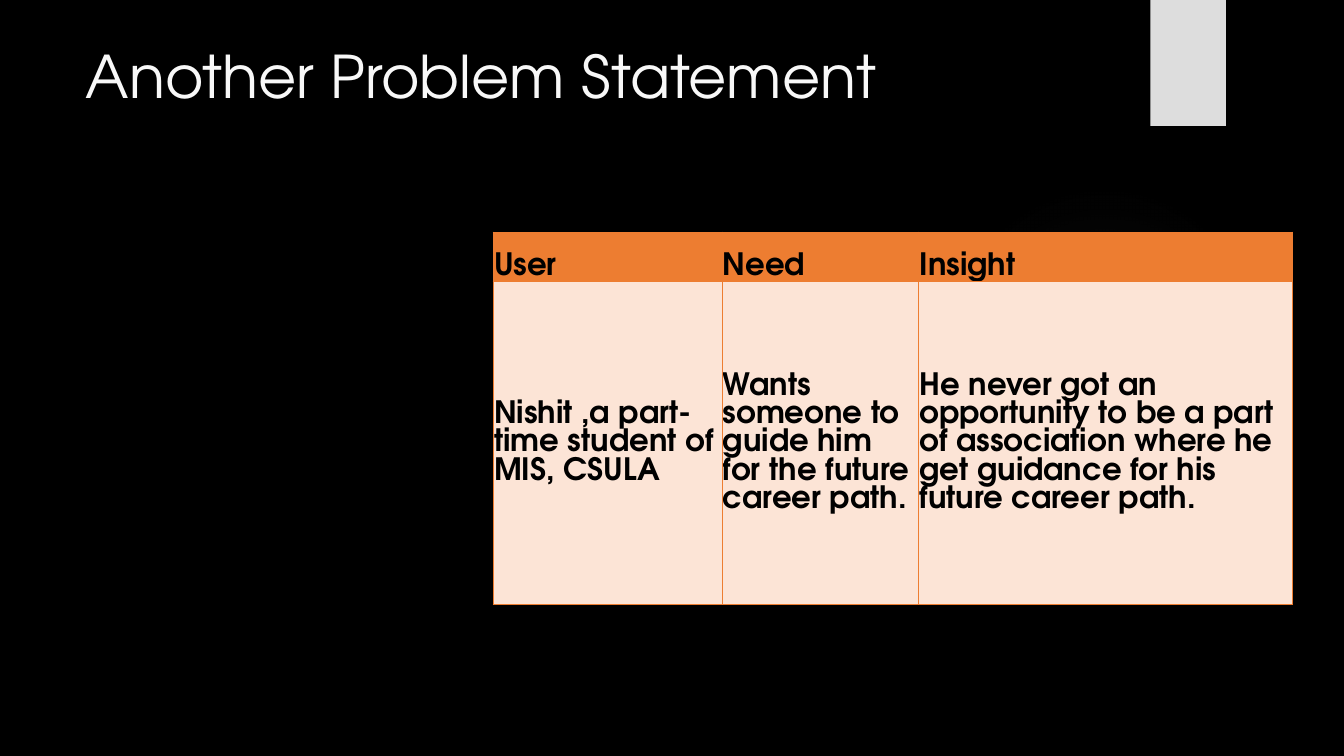
from lxml.etree import SubElement
from pptx import Presentation
from pptx.dml.color import RGBColor
from pptx.enum.shapes import MSO_SHAPE
from pptx.enum.text import MSO_ANCHOR, PP_ALIGN
from pptx.oxml import parse_xml
from pptx.oxml.ns import qn
from pptx.util import Inches, Pt

FONT = "TeX Gyre Adventor"
NS = 'xmlns:a="http://schemas.openxmlformats.org/drawingml/2006/main"'
COLUMNS = (2.27, 1.95, 3.71)
ROWS = (0.49, 3.21)
CELLS = (
    ("User", "Need", "Insight"),
    ("Nishit ,a part-time student of MIS, CSULA",
     "Wants someone to guide him for the future career path.",
     "He never got an opportunity to be a part of association where he "
     "get guidance for his future career path."),
)
ROW_STYLES = (("ED7D31", MSO_ANCHOR.BOTTOM), ("FCE4D6", MSO_ANCHOR.MIDDLE))


def paint(fill, color):
    fill.solid()
    fill.fore_color.rgb = RGBColor.from_string(color)


def write(tf, text, size, color, bold=False, spacing=1.0):
    tf.word_wrap = True
    p = tf.paragraphs[0]
    p.alignment = PP_ALIGN.LEFT
    p.line_spacing = spacing
    r = p.add_run()
    r.text = text
    r.font.name = FONT
    r.font.size = Pt(size)
    r.font.bold = bold
    r.font.color.rgb = RGBColor.from_string(color)


def add_preset(s, kind, left, top, width, height, color):
    sp = s.shapes.add_shape(kind, *map(Inches, (left, top, width, height)))
    sp.shadow.inherit = False
    paint(sp.fill, color)
    sp.line.fill.background()
    return sp


def add_glow(s):
    sp = add_preset(s, MSO_SHAPE.OVAL, 9.41, 1.83, 3.08, 3.08, "666666")
    stops = "".join(
        f'<a:gs pos="{pos * 1000}"><a:srgbClr val="666666">'
        f'<a:alpha val="{alpha * 1000}"/></a:srgbClr></a:gs>'
        for pos, alpha in ((0, 7), (36, 6), (69, 0)))
    gradient = parse_xml(
        f'<a:gradFill {NS}><a:gsLst>{stops}</a:gsLst><a:path path="circle">'
        '<a:fillToRect l="50000" t="50000" r="50000" b="50000"/>'
        '</a:path></a:gradFill>')
    props = sp.element.spPr
    props.replace(props.find(qn("a:solidFill")), gradient)


def add_tab(s):
    sp = add_preset(s, MSO_SHAPE.RECTANGLE, 11.41, 0, 0.75, 1.25, "DDDDDD")
    effects = sp.element.spPr.find(qn("a:effectLst"))
    effects.append(parse_xml(
        f'<a:outerShdw {NS} blurRad="{Pt(3)}" dist="{Pt(2)}" dir="5400000">'
        '<a:srgbClr val="000000"><a:alpha val="45000"/></a:srgbClr>'
        '</a:outerShdw>'))


def add_borders(cell, color, width):
    props = cell._tc.get_or_add_tcPr()
    for i, side in enumerate(("lnL", "lnR", "lnT", "lnB")):
        line = parse_xml(
            f'<a:{side} {NS} w="{Pt(width)}"><a:solidFill>'
            f'<a:srgbClr val="{color}"/></a:solidFill></a:{side}>')
        props.insert(i, line)


def add_statement_table(s):
    frame = s.shapes.add_table(
        len(ROWS), len(COLUMNS), Inches(4.89), Inches(2.3),
        Inches(sum(COLUMNS)), Inches(sum(ROWS)))
    table = frame.table
    table.horz_banding = False
    for column, width in zip(table.columns, COLUMNS):
        column.width = Inches(width)
    for i, (color, anchor) in enumerate(ROW_STYLES):
        table.rows[i].height = Inches(ROWS[i])
        for j, text in enumerate(CELLS[i]):
            cell = table.cell(i, j)
            cell.margin_left = cell.margin_right = cell.margin_top = Inches(0.01)
            cell.margin_bottom = 0
            cell.vertical_anchor = anchor
            paint(cell.fill, color)
            add_borders(cell, "ED7D31", 0.5)
            write(cell.text_frame, text, 22, "000000", bold=True,
                  spacing=Pt(20.2))


def add_title(s):
    title = s.shapes.title
    title.left, title.top, title.width, title.height = map(
        Inches, (0.75, 0.34, 8.84, 0.81))
    title.text_frame.vertical_anchor = MSO_ANCHOR.TOP
    write(title.text_frame, "Another Problem Statement", 42, "F8F8F8")


def main():
    prs = Presentation()
    prs.slide_width, prs.slide_height = Inches(13.33), Inches(7.5)
    s = prs.slides.add_slide(prs.slide_layouts[5])
    paint(s.background.fill, "000000")
    add_glow(s)
    add_tab(s)
    add_statement_table(s)
    add_title(s)
    prs.save("out.pptx")


if __name__ == "__main__":
    main()
